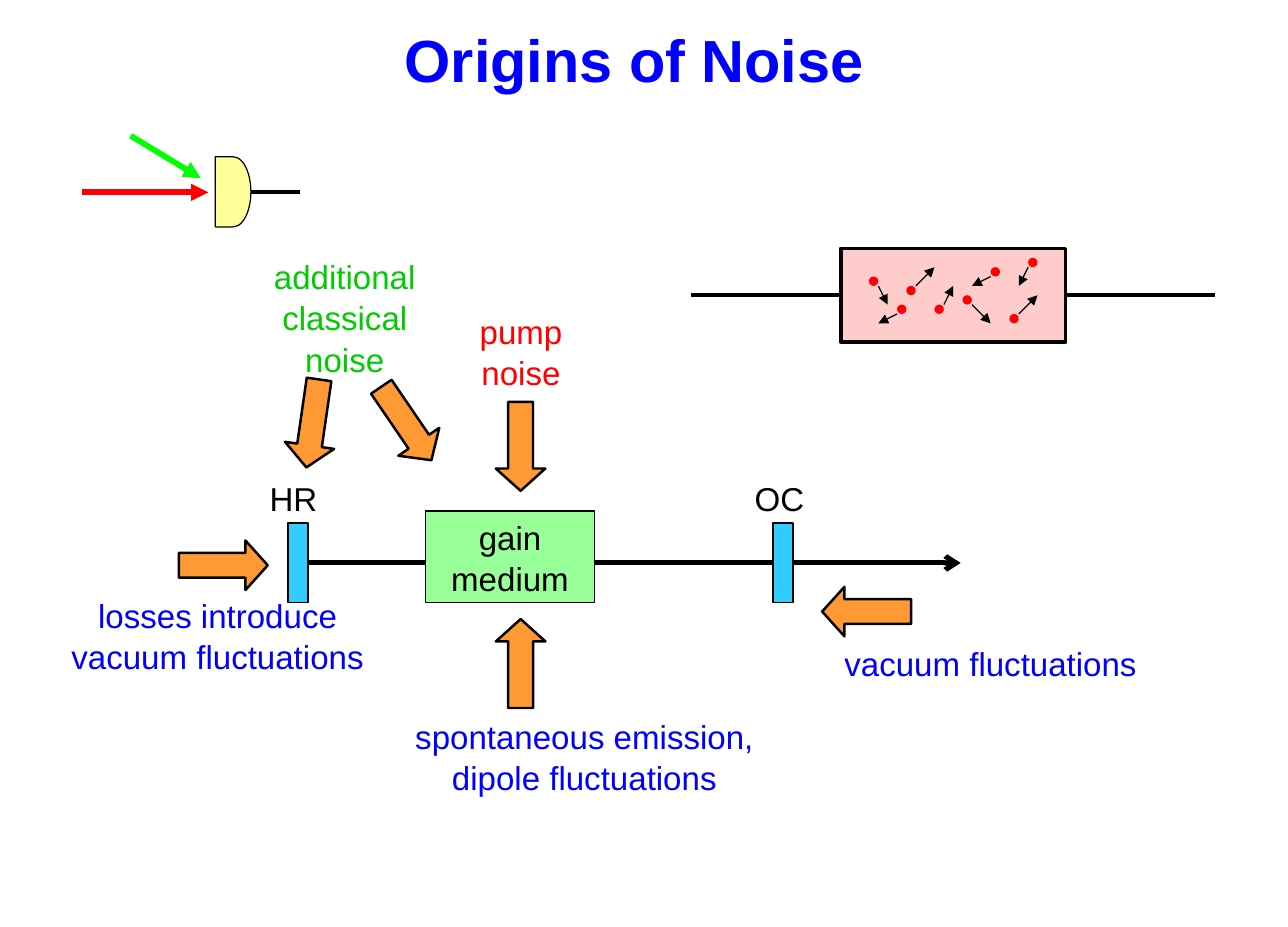
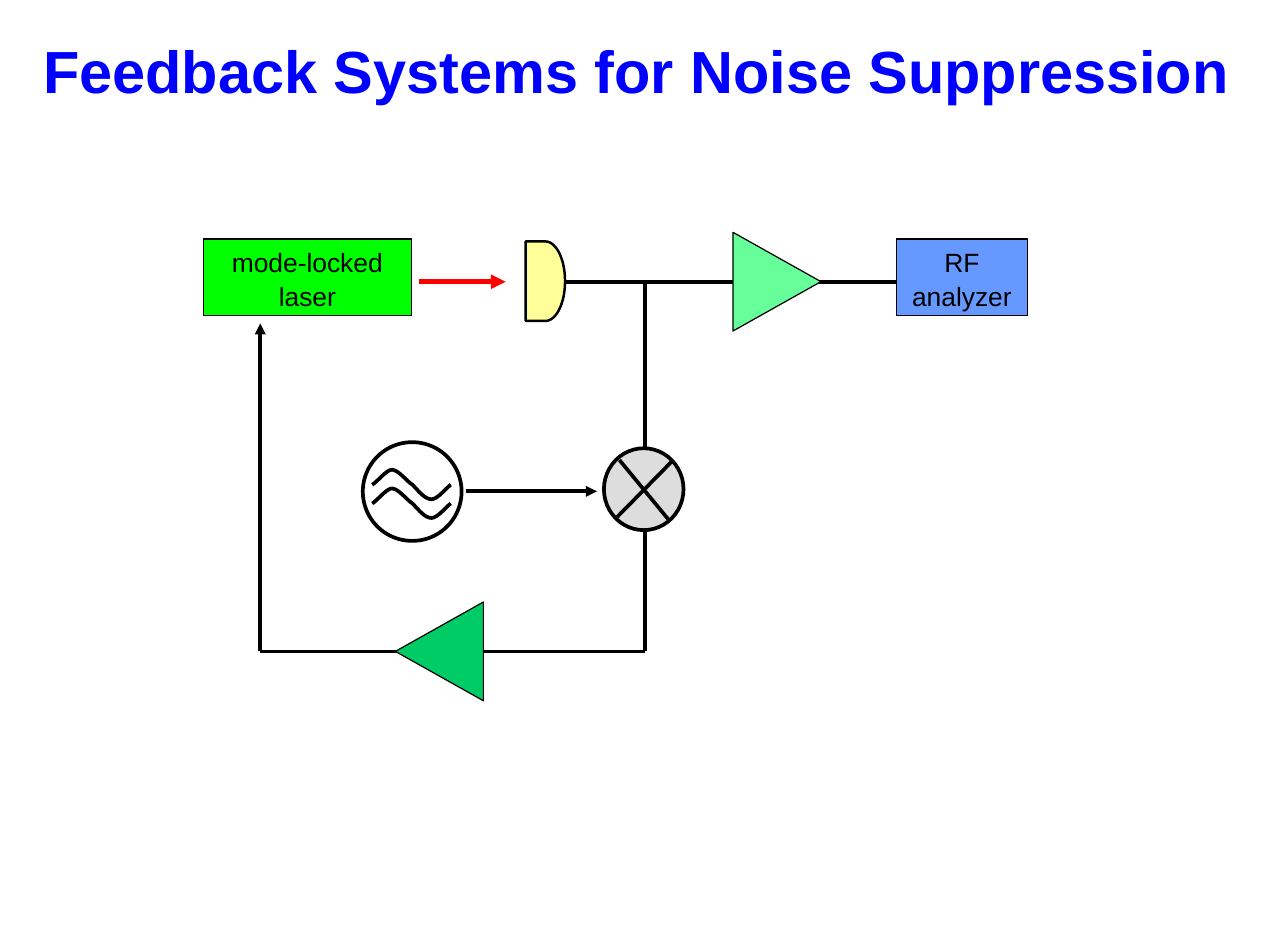
from lxml.etree import SubElement
from pptx import Presentation
from pptx.dml.color import RGBColor
from pptx.enum.shapes import MSO_CONNECTOR, MSO_SHAPE
from pptx.enum.text import MSO_ANCHOR, PP_ALIGN
from pptx.oxml.ns import qn
from pptx.util import Cm, Pt

FONT = "Arial"
COLORS = {
    "black": "000000", "blue": "0000FF", "red": "FF0000", "lime": "00FF00",
    "green": "00CC00", "cream": "FFFF99", "pink": "FFCCCC", "sky": "33CCFF",
    "mint": "99FF99", "orange": "FF9933", "gray": "DDDDDD", "steel": "6699FF",
    "aqua": "66FF99", "emerald": "00CC66",
}

NOISE_TITLE = ("Origins of Noise", (2.12, 0.43, 22.86, 1.65))
NOISE_LINES = [
    ((1.75, 4.11), (4.45, 4.11), "red", 3.49, "triangle"),
    ((5.36, 4.11), (6.4, 4.11), "black", 2.24, None),
    ((2.79, 2.9), (4.29, 3.81), "lime", 3.49, "triangle"),
    ((17.96, 6.3), (14.76, 6.3), "black", 2.24, None),
    ((25.96, 6.3), (22.76, 6.3), "black", 2.24, None),
    ((6.55, 12.03), (16.51, 12.03), "black", 3, None),
    ((16.94, 12.03), (20.52, 12.03), "black", 3, "arrow"),
]
NOISE_DETECTOR = (4.6, 3.35, 0.76, 1.5)
ABSORBER = (17.96, 5.31, 4.8, 2)
UNIT = 0.2
PARTICLES = [
    ((3, 3), (4, 4), (5, 6)), ((18, 7), (19, 7), (21, 5)),
    ((10, 6), (11, 6), (12, 4)), ((16, 2), (16, 3), (14, 4)),
    ((7, 4), (8, 4), (10, 2)), ((13, 5), (14, 6), (16, 8)),
    ((6, 6), (6, 7), (4, 8)), ((20, 1), (20, 2), (19, 4)),
]
MIRRORS = [("HR", 6.15), ("OC", 16.51)]
GAIN = ("gain medium", (9.09, 10.92, 3.61, 1.96))
NOISE_ARROWS = [
    (10.59, 8.59, 0), (10.59, 13.23, 180), (4.24, 11.13, 270),
    (17.98, 12.12, 90), (6.15, 8.1, 8.2), (8.15, 8.1, 325.7),
]
NOISE_LABELS = [
    ("vacuum fluctuations", "blue", (17.35, 13.59, 7.62, 1.12)),
    ("pump noise", "red", (9.96, 6.48, 2.34, 1.96)),
    ("spontaneous emission,\vdipole fluctuations", "blue", (8.46, 15.14, 8.05, 1.96)),
    ("losses introduce\vvacuum fluctuations", "blue", (0.84, 12.55, 7.62, 1.96)),
    ("additional classical noise", "green", (5.56, 5.31, 3.61, 2.82)),
]

FEEDBACK_TITLE = ("Feedback Systems for Noise Suppression ", (0.56, 0.66, 26.42, 1.65))
FEEDBACK_LINES = [
    ((8.94, 6.02), (10.8, 6.02), "red", 3, "triangle"),
    ((12.07, 6.02), (15.67, 6.02), "black", 2.24, None),
    ((17.35, 6.02), (19.96, 6.02), "black", 2.24, None),
    ((13.77, 6.07), (13.77, 10.9), "black", 2.24, "triangle"),
    ((9.96, 10.5), (12.75, 10.5), "black", 2.24, "triangle"),
    ((13.77, 11.33), (13.77, 13.92), "black", 2.24, None),
    ((13.77, 13.92), (5.56, 13.92), "black", 2.24, None),
    ((5.56, 13.92), (5.56, 6.91), "black", 2.24, "triangle"),
]
FEEDBACK_DETECTOR = (11.23, 5.16, 0.84, 1.7)
DEVICES = [
    ("mode-locked laser", "lime", (4.34, 5.11, 4.45, 1.63)),
    ("RF analyzer", "steel", (19.15, 5.11, 2.79, 1.63)),
]
MIXER = (12.9, 9.58, 1.7, 1.75)
MIXER_CROSS = [((13.18, 11.05), (14.38, 9.83)), ((14.3, 11.13), (13.23, 9.83))]
OSCILLATOR = (7.75, 9.45, 2.11, 2.11)
WAVE_START = (9.63, 10.36)
WAVE_CURVES = [
    ((9.55, 10.41), (9.35, 10.67), (9.22, 10.67)),
    ((9.07, 10.67), (8.94, 10.49), (8.81, 10.36)),
    ((8.66, 10.26), (8.53, 10.06), (8.38, 10.04)),
    ((8.26, 10.03), (8.05, 10.31), (7.95, 10.36)),
]
WAVE_SHIFTS = [0, 0.4]
AMPLIFIERS = [
    ((15.54, 5.08, 2.11, 1.88), 90, "aqua"),
    ((8.33, 12.98, 2.11, 1.88), 270, "emerald"),
]


def rgb(name):
    return RGBColor.from_string(COLORS[name])


def paint(sp, fill, width):
    sp.shadow.inherit = False
    if fill:
        sp.fill.solid()
        sp.fill.fore_color.rgb = rgb(fill)
    else:
        sp.fill.background()
    if width:
        sp.line.color.rgb = rgb("black")
        sp.line.width = Pt(width)
    else:
        sp.line.fill.background()


def shape(s, kind, box, fill, width=0.74, rotation=0):
    sp = s.shapes.add_shape(kind, *map(Cm, box))
    paint(sp, fill, width)
    sp.rotation = rotation
    return sp


def line(s, start, end, color="black", width=2.24, head=None):
    cx = s.shapes.add_connector(MSO_CONNECTOR.STRAIGHT, *map(Cm, start + end))
    cx.line.color.rgb = rgb(color)
    cx.line.width = Pt(width)
    if head:
        SubElement(cx.line._get_or_add_ln(), qn("a:tailEnd"), type=head)
    SubElement(cx._element.spPr, qn("a:effectLst"))


def write(sp, text, size, color="black", bold=False, anchor=MSO_ANCHOR.TOP,
          align=PP_ALIGN.CENTER, spacing=1.05):
    tf = sp.text_frame
    tf.word_wrap = True
    tf.vertical_anchor = anchor
    p = tf.paragraphs[0]
    p.text = text
    p.alignment = align
    p.line_spacing = spacing
    for r in p.runs:
        r.font.name = FONT
        r.font.size = Pt(size)
        r.font.bold = bold
        r.font.color.rgb = rgb(color)


def label(s, text, box, size=20, **style):
    write(s.shapes.add_textbox(*map(Cm, box)), text, size, **style)


def new_slide(prs, title, lines):
    s = prs.slides.add_slide(prs.slide_layouts[6])
    label(s, *title, size=36, color="blue", bold=True,
          anchor=MSO_ANCHOR.MIDDLE, spacing=1.0)
    for item in lines:
        line(s, *item)
    return s


def bezier(p0, p1, p2, p3, steps=10):
    for i in range(1, steps + 1):
        t = i / steps
        weights = ((1 - t) ** 3, 3 * t * (1 - t) ** 2, 3 * t * t * (1 - t), t ** 3)
        yield tuple(sum(w * c for w, c in zip(weights, axis))
                    for axis in zip(p0, p1, p2, p3))


def wave(s, shift):
    points = [WAVE_START]
    for curve in WAVE_CURVES:
        points += bezier(points[-1], *curve)
    points = [(Cm(x), Cm(y + shift)) for x, y in points]
    fb = s.shapes.build_freeform(*points[0])
    fb.add_line_segments(points[1:], close=False)
    paint(fb.convert_to_shape(), None, 2.24)


def noise_slide(prs):
    s = new_slide(prs, NOISE_TITLE, NOISE_LINES)
    shape(s, MSO_SHAPE.FLOWCHART_DELAY, NOISE_DETECTOR, "cream")

    shape(s, MSO_SHAPE.RECTANGLE, ABSORBER, "pink", 2.24)

    def on_grid(cell):
        return tuple(o + UNIT * n for o, n in zip(ABSORBER, cell))

    for dot, start, end in PARTICLES:
        shape(s, MSO_SHAPE.OVAL, on_grid(dot) + (UNIT, UNIT), "red", None)
        line(s, on_grid(start), on_grid(end), width=0.74, head="triangle")

    for name, x in MIRRORS:
        shape(s, MSO_SHAPE.RECTANGLE, (x, 11.18, 0.43, 1.7), "sky", 0.99)
        label(s, name, (x - 0.64, 10.06, 1.7, 1.12), align=PP_ALIGN.LEFT)
    text, box = GAIN
    gain = shape(s, MSO_SHAPE.RECTANGLE, box, "mint", 0.99)
    write(gain, text, 20, anchor=MSO_ANCHOR.MIDDLE)

    for x, y, rotation in NOISE_ARROWS:
        arrow = shape(s, MSO_SHAPE.DOWN_ARROW, (x, y, 1.06, 1.9), "orange", 1.5, rotation)
        arrow.adjustments[0] = 0.5
        arrow.adjustments[1] = 0.45
    for text, color, box in NOISE_LABELS:
        label(s, text, box, color=color)


def feedback_slide(prs):
    s = new_slide(prs, FEEDBACK_TITLE, FEEDBACK_LINES)
    shape(s, MSO_SHAPE.FLOWCHART_DELAY, FEEDBACK_DETECTOR, "cream", 1.5)
    for text, fill, box in DEVICES:
        write(shape(s, MSO_SHAPE.RECTANGLE, box, fill), text, 16)
    shape(s, MSO_SHAPE.OVAL, MIXER, "gray", 2.24)
    for start, end in MIXER_CROSS:
        line(s, start, end)
    shape(s, MSO_SHAPE.OVAL, OSCILLATOR, None, 2.24)
    for shift in WAVE_SHIFTS:
        wave(s, shift)
    for box, rotation, fill in AMPLIFIERS:
        shape(s, MSO_SHAPE.ISOSCELES_TRIANGLE, box, fill, rotation=rotation)


prs = Presentation()
prs.slide_width = Cm(27.51)
prs.slide_height = Cm(19.81)
noise_slide(prs)
feedback_slide(prs)
prs.save("out.pptx")
